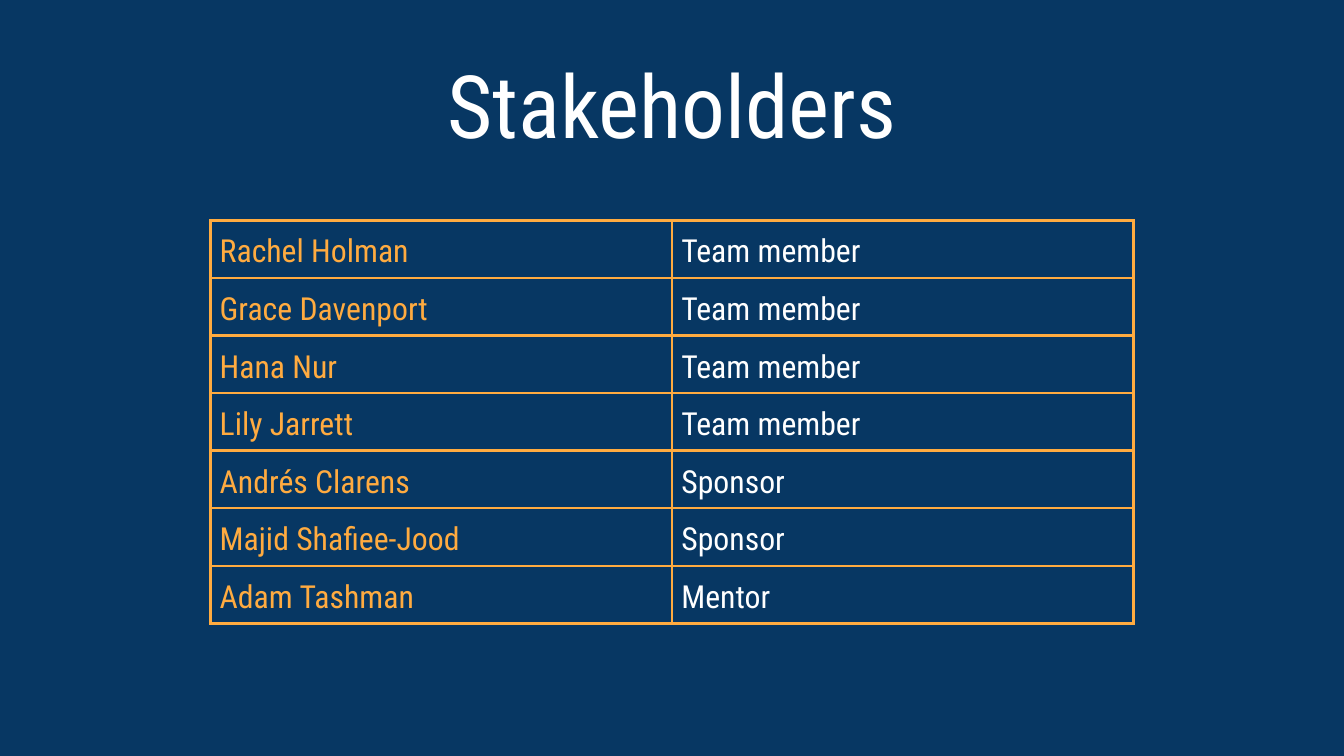
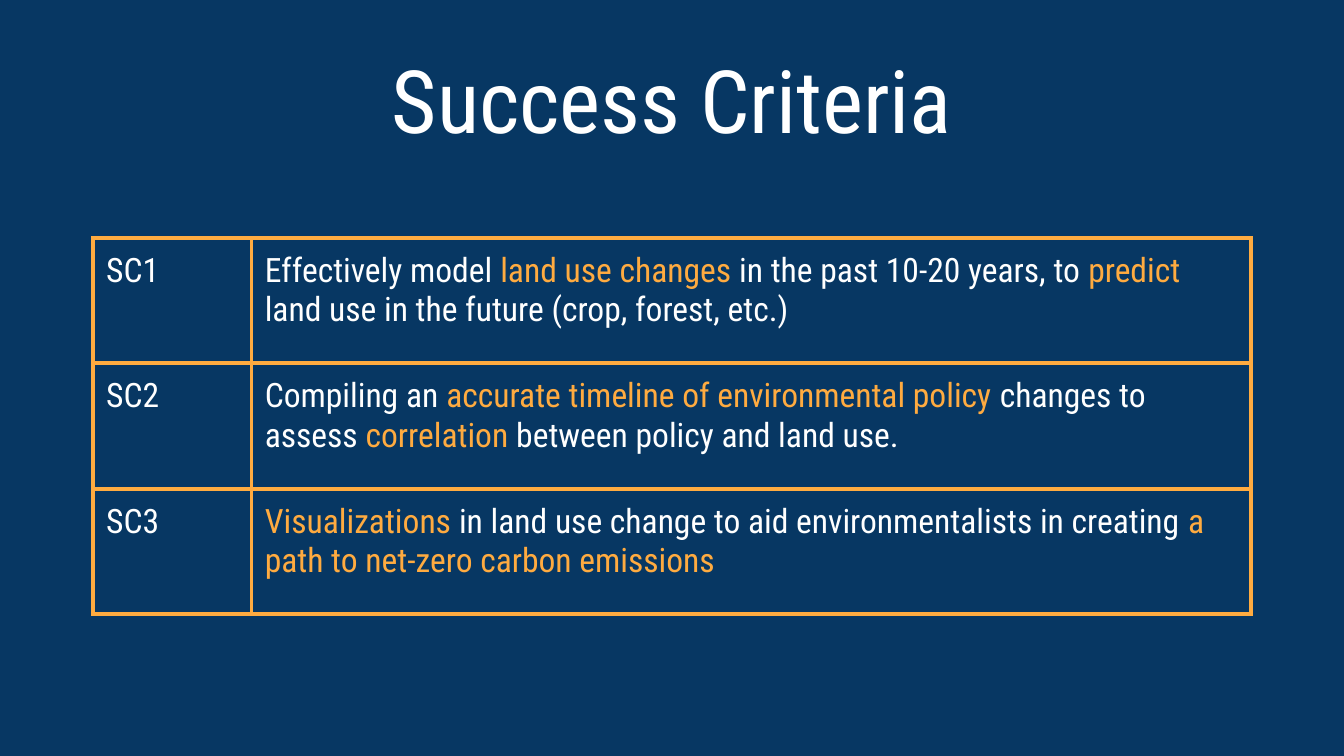
from dataclasses import dataclass

from lxml.etree import SubElement
from pptx import Presentation
from pptx.dml.color import RGBColor as RGB
from pptx.enum.text import MSO_ANCHOR as Anchor, PP_ALIGN as Align
from pptx.oxml.ns import qn
from pptx.util import Inches, Pt


@dataclass(frozen=True)
class Theme:
    font: str = "Roboto Condensed"
    navy: str = "073763"
    white: str = "FFFFFF"
    orange: str = "FFAB40"
    title_size: float = 46.8
    stakeholder_size: float = 17
    criteria_size: float = 18


@dataclass(frozen=True)
class TableStyle:
    size: float
    border: float
    margin_x: float
    margin_y: float
    anchor: Anchor
    line_spacing: float


THEME = Theme()
SLIDE_WIDTH = 10
STAKEHOLDER_STYLE = TableStyle(THEME.stakeholder_size, 1.5, 0.07, 0, Anchor.MIDDLE, 1.15)
CRITERIA_STYLE = TableStyle(THEME.criteria_size, 2.25, 0.1, 0.1, Anchor.TOP, 1.0)

STAKEHOLDERS = [
    ("Rachel Holman", "Team member"),
    ("Grace Davenport", "Team member"),
    ("Hana Nur", "Team member"),
    ("Lily Jarrett", "Team member"),
    ("Andrés Clarens", "Sponsor"),
    ("Majid Shafiee-Jood", "Sponsor"),
    ("Adam Tashman", "Mentor"),
]

# Asterisks enclose the highlighted words.
CRITERIA = [
    "Effectively model *land use changes* in the past 10-20 years, to *predict *"
    "land use in the future (crop, forest, etc.)",
    "Compiling an *accurate timeline of environmental policy* changes to assess "
    "*correlation *between policy and land use.",
    "*Visualizations* in land use change to aid environmentalists in creating"
    "* a path to net-zero carbon emissions*",
]


def centred_box(top, width, height):
    return (SLIDE_WIDTH - width) / 2, top, width, height


def add_runs(p, text, size):
    """Write text in white, with the parts between asterisks in orange."""
    for i, part in enumerate(text.split("*")):
        if not part:
            continue
        r = p.add_run()
        r.text = part
        r.font.name = THEME.font
        r.font.size = Pt(size)
        r.font.color.rgb = RGB.from_string(THEME.orange if i % 2 else THEME.white)


def set_borders(cell, width):
    """Draw all four sides; the lines must come before the fill in tcPr."""
    tc_pr = cell._tc.get_or_add_tcPr()
    for i, side in enumerate(("a:lnL", "a:lnR", "a:lnT", "a:lnB")):
        ln = SubElement(tc_pr, qn(side), w=str(Pt(width)))
        fill = SubElement(ln, qn("a:solidFill"))
        SubElement(fill, qn("a:srgbClr"), val=THEME.orange)
        tc_pr.insert(i, ln)


def fill_cell(cell, text, style):
    cell.fill.background()
    set_borders(cell, style.border)
    cell.margin_left = cell.margin_right = Inches(style.margin_x)
    cell.margin_top = cell.margin_bottom = Inches(style.margin_y)
    cell.vertical_anchor = style.anchor
    p = cell.text_frame.paragraphs[0]
    p.line_spacing = style.line_spacing
    add_runs(p, text, style.size)


def add_grid(slide, box, col_widths, rows, style):
    sp = slide.shapes.add_table(len(rows), len(col_widths), *map(Inches, box))
    table = sp.table
    table.first_row = table.horz_banding = False
    for col, width in zip(table.columns, col_widths):
        col.width = Inches(width)
    for row, texts in zip(table.rows, rows):
        row.height = Inches(box[3] / len(rows))
        for cell, text in zip(row.cells, texts):
            fill_cell(cell, text, style)


def add_title(slide, box, text):
    tf = slide.shapes.add_textbox(*map(Inches, box)).text_frame
    tf.word_wrap = True
    tf.vertical_anchor = Anchor.TOP
    tf.margin_left = tf.margin_right = tf.margin_top = tf.margin_bottom = Inches(0.1)
    p = tf.paragraphs[0]
    p.alignment = Align.CENTER
    add_runs(p, text, THEME.title_size)


def add_titled_slide(prs, title, title_box):
    slide = prs.slides.add_slide(prs.slide_layouts[6])
    fill = slide.background.fill
    fill.solid()
    fill.fore_color.rgb = RGB.from_string(THEME.navy)
    add_title(slide, title_box, title)
    return slide


def stakeholders_slide(prs, title_box, table_box):
    slide = add_titled_slide(prs, "Stakeholders", title_box)
    rows = [(f"*{name}*", role) for name, role in STAKEHOLDERS]
    add_grid(slide, table_box, [table_box[2] / 2] * 2, rows, STAKEHOLDER_STYLE)


def criteria_slide(prs, title_box, table_box):
    slide = add_titled_slide(prs, "Success Criteria", title_box)
    rows = [(f"SC{n}", text) for n, text in enumerate(CRITERIA, 1)]
    label_width = 1.18
    widths = [label_width, table_box[2] - label_width]
    add_grid(slide, table_box, widths, rows, CRITERIA_STYLE)


def main():
    prs = Presentation()
    prs.slide_width = Inches(SLIDE_WIDTH)
    prs.slide_height = Inches(SLIDE_WIDTH * 9 / 16)
    stakeholders_slide(prs, centred_box(0.28, 9.32, 0.83), centred_box(1.64, 6.87, 3))
    criteria_slide(prs, centred_box(0.24, 9.32, 0.88), centred_box(1.77, 8.62, 2.8))
    prs.save("out.pptx")


if __name__ == "__main__":
    main()
